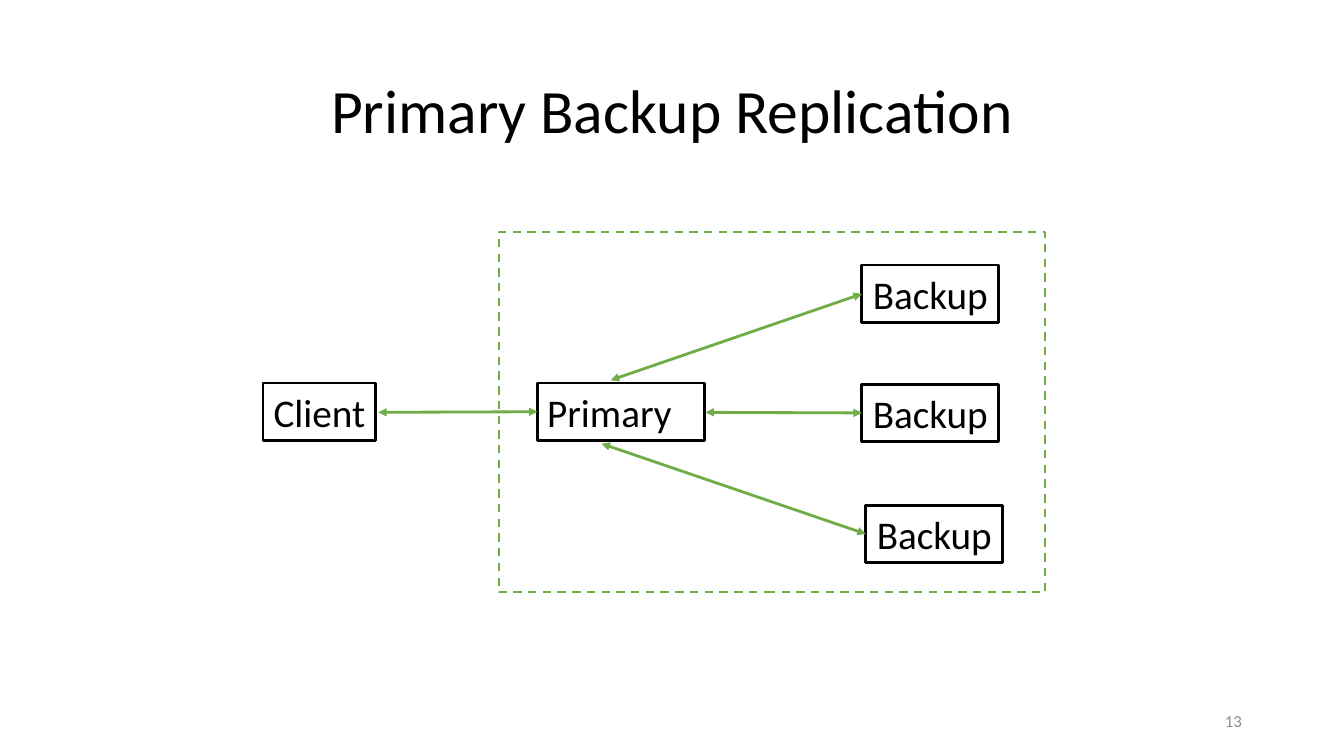
from lxml import etree
from pptx import Presentation
from pptx.dml.color import RGBColor
from pptx.enum import dml, shapes, text
from pptx.oxml.ns import qn
from pptx.util import Cm, Pt

BLACK = RGBColor(0x00, 0x00, 0x00)
GREEN = RGBColor(0x70, 0xAD, 0x47)
GRAY = RGBColor(0x8C, 0x8C, 0x8C)
FONT = "Calibri"
LEFT, CENTER, RIGHT = text.PP_ALIGN.LEFT, text.PP_ALIGN.CENTER, text.PP_ALIGN.RIGHT

TITLE = "Primary Backup Replication"
PAGE_NUMBER = "13"
NODE_HEIGHT = 1.45
CLIENT = ("Client", 6.63, 9.65, 2.84)
PRIMARY = ("Primary", 13.54, 9.65, 4.22)
BACKUPS = [
    (("Backup", 21.72, 6.68, 3.45), (15.39, 9.58)),
    (("Backup", 21.72, 9.68, 3.45), (17.78, 10.39)),
    (("Backup", 21.82, 12.73, 3.45), (15.16, 11.18)),
]
LINKS = [(PRIMARY, (9.53, 10.39))] + BACKUPS
REPLICA_GROUP = (12.57, 5.84, 13.77, 9.09)

deck = Presentation()
deck.slide_width, deck.slide_height = Cm(33.87), Cm(19.05)
page = deck.slides.add_slide(deck.slide_layouts[6])


def write(box, words, size=28, color=BLACK, align=CENTER, inset=0.25, spacing=1.0):
    frame = box.text_frame
    frame.word_wrap = True
    frame.vertical_anchor = text.MSO_ANCHOR.MIDDLE
    frame.margin_left = frame.margin_right = Cm(inset)
    para = frame.paragraphs[0]
    para.alignment, para.line_spacing = align, spacing
    span = para.add_run()
    span.text = words
    span.font.name, span.font.size = FONT, Pt(size)
    span.font.color.rgb = color


def add_outline(left, top, width, height, color, weight):
    box = page.shapes.add_shape(
        shapes.MSO_SHAPE.RECTANGLE, Cm(left), Cm(top), Cm(width), Cm(height))
    box.shadow.inherit = False
    box.fill.background()
    box.line.color.rgb, box.line.width = color, Pt(weight)
    return box


def add_node(node, **style):
    words, left, top, width = node
    write(add_outline(left, top, width, NODE_HEIGHT, BLACK, 2), words, **style)


def add_link(node, end):
    left, top = node[1:3]
    start = (left, top + NODE_HEIGHT / 2)
    link = page.shapes.add_connector(
        shapes.MSO_CONNECTOR.STRAIGHT, *(Cm(value) for value in start + end))
    link.line.color.rgb, link.line.width = GREEN, Pt(2)
    outline = link.line._get_or_add_ln()
    for tag in ("a:headEnd", "a:tailEnd"):
        etree.SubElement(outline, qn(tag), type="triangle")
    etree.SubElement(link._element.spPr, qn("a:effectLst"))


title = page.shapes.add_textbox(Cm(2.34), Cm(1.02), Cm(29.21), Cm(3.68))
write(title, TITLE, size=44, spacing=0.9)

add_node(CLIENT, inset=0)
add_node(PRIMARY, align=LEFT)
for backup, _ in BACKUPS:
    add_node(backup, inset=0)

group = add_outline(*REPLICA_GROUP, GREEN, 1.5)
group.line.dash_style = dml.MSO_LINE.DASH

for node, end in LINKS:
    add_link(node, end)

number = page.shapes.add_textbox(Cm(23.93), Cm(17.65), Cm(7.62), Cm(1.02))
write(number, PAGE_NUMBER, size=12, color=GRAY, align=RIGHT)

deck.save("out.pptx")
